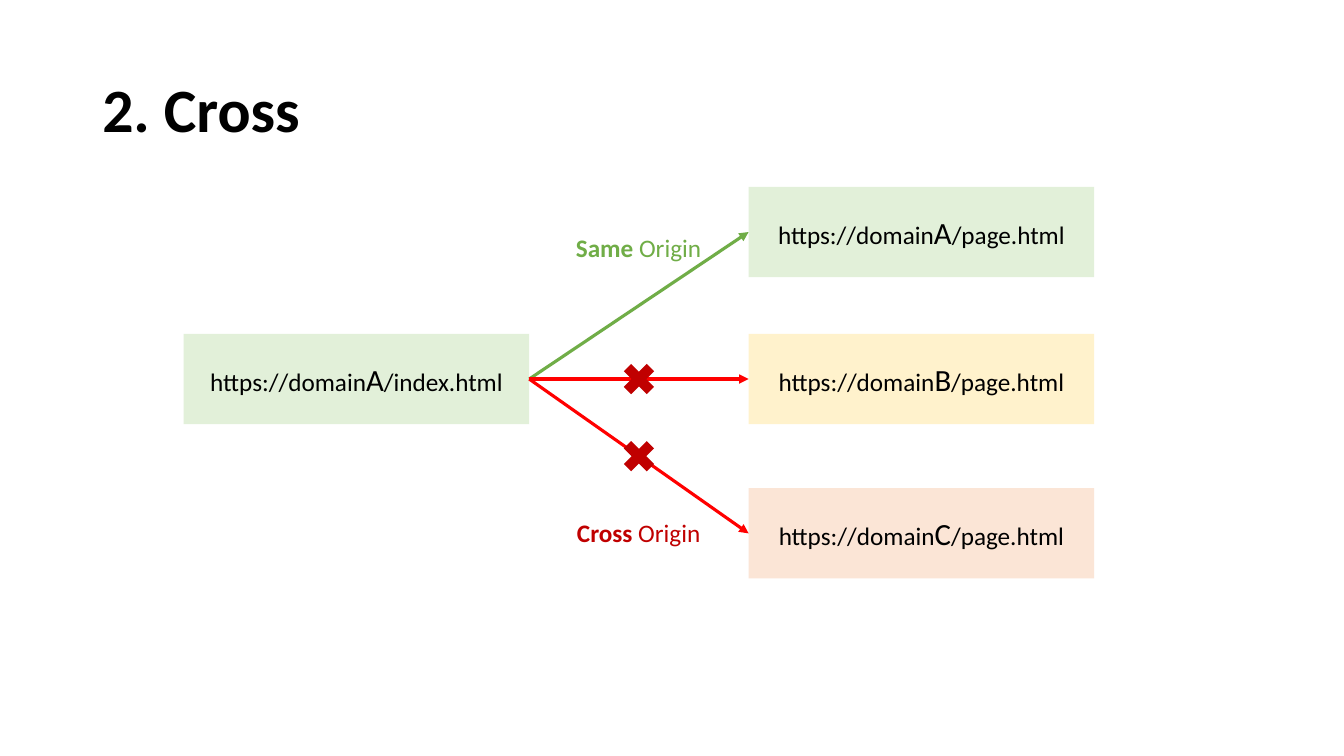
from lxml import etree
from pptx import Presentation
from pptx.dml.color import RGBColor
from pptx.enum.shapes import MSO_CONNECTOR, MSO_SHAPE
from pptx.enum.text import MSO_ANCHOR, PP_ALIGN
from pptx.oxml.ns import qn
from pptx.util import Pt

RECTANGLE, MULTIPLY = MSO_SHAPE.RECTANGLE, MSO_SHAPE.MATH_MULTIPLY
STRAIGHT = MSO_CONNECTOR.STRAIGHT
LEFT, CENTER = PP_ALIGN.LEFT, PP_ALIGN.CENTER
MIDDLE, TOP = MSO_ANCHOR.MIDDLE, MSO_ANCHOR.TOP
LEFT_SITE, RIGHT_SITE = 1, 3
PX = 9525  # EMU per px, 96 px to the inch

THEME = {
    "font": "Calibri",
    "title_size": 44, "body_size": 18, "domain_size": 22, "line_width": 2.25,
    "text": "000000",
    "domain_a": "E2F0D9", "domain_b": "FFF2CC", "domain_c": "FBE5D6",
    "same": "70AD47", "cross": "C00000", "blocked": "FF0000",
}


def color(name):
    return RGBColor.from_string(THEME[name])


def write(shape, spans, color_name="text", align=LEFT, anchor=MIDDLE, wrap=True):
    """Fill the shape with one paragraph of (text, size name, bold) spans."""
    frame = shape.text_frame
    frame.word_wrap, frame.vertical_anchor = wrap, anchor
    para = frame.paragraphs[0]
    para.alignment = align
    for text, size, bold in spans:
        span = para.add_run()
        span.text = text
        formats = {"name": THEME["font"], "size": Pt(THEME[size]), "bold": bold}
        for attribute, value in formats.items():
            setattr(span.font, attribute, value)
        span.font.color.rgb = color(color_name)
    return para


deck = Presentation()
deck.slide_width, deck.slide_height = 1280 * PX, 720 * PX
page = deck.slides.add_slide(deck.slide_layouts[6])
shapes = page.shapes

title = shapes.add_textbox(88 * PX, 38 * PX, 1104 * PX, 139 * PX)
write(title, [("2. Cross", "title_size", True)]).line_spacing = 0.9

# Page boxes: the source first, then its three targets
BOX_WIDTH, BOX_HEIGHT = 329, 86
SOURCE_X, TARGET_X = 175, 713
boxes = []
for x, y, domain, file_name, fill in [
    (SOURCE_X, 318, "A", "/index.html", "domain_a"),
    (TARGET_X, 178, "A", "/page.html", "domain_a"),
    (TARGET_X, 318, "B", "/page.html", "domain_b"),
    (TARGET_X, 465, "C", "/page.html", "domain_c"),
]:
    box = shapes.add_shape(RECTANGLE, x * PX, y * PX, BOX_WIDTH * PX, BOX_HEIGHT * PX)
    box.shadow.inherit = False
    box.fill.solid()
    box.fill.fore_color.rgb = color(fill)
    box.line.fill.background()
    write(box, [("https://domain", "body_size", False),
                (domain, "domain_size", False),
                (file_name, "body_size", False)], align=CENTER)
    boxes.append(box)

# Arrows from the source to each target
source, *targets = boxes
arrows = []
for target, line_color in zip(targets, ("same", "blocked", "blocked")):
    arrow = shapes.add_connector(STRAIGHT, 0, 0, 0, 0)
    arrow.begin_connect(source, RIGHT_SITE)
    arrow.end_connect(target, LEFT_SITE)
    arrow.line.color.rgb = color(line_color)
    arrow.line.width = Pt(THEME["line_width"])
    etree.SubElement(arrow.line._get_or_add_ln(), qn("a:tailEnd"), type="triangle")
    etree.SubElement(arrow._element.spPr, qn("a:effectLst"))
    arrows.append(arrow)

# A cross at the middle of each blocked arrow
CROSS = 42 * PX
for arrow in arrows[1:]:
    middle_x = (arrow.begin_x + arrow.end_x) // 2
    middle_y = (arrow.begin_y + arrow.end_y) // 2
    cross = shapes.add_shape(MULTIPLY, middle_x - CROSS // 2, middle_y - CROSS // 2, CROSS, CROSS)
    cross.shadow.inherit = False
    cross.fill.solid()
    cross.fill.fore_color.rgb = color("cross")
    cross.line.fill.background()

for x, y, width, word, label_color in [
    (539, 217, 141, "Same", "same"),
    (540, 488, 137, "Cross", "cross"),
]:
    label = shapes.add_textbox(x * PX, y * PX, width * PX, 38 * PX)
    write(label, [(word, "body_size", True), (" Origin", "body_size", False)],
          label_color, anchor=TOP, wrap=False)

deck.save("out.pptx")
